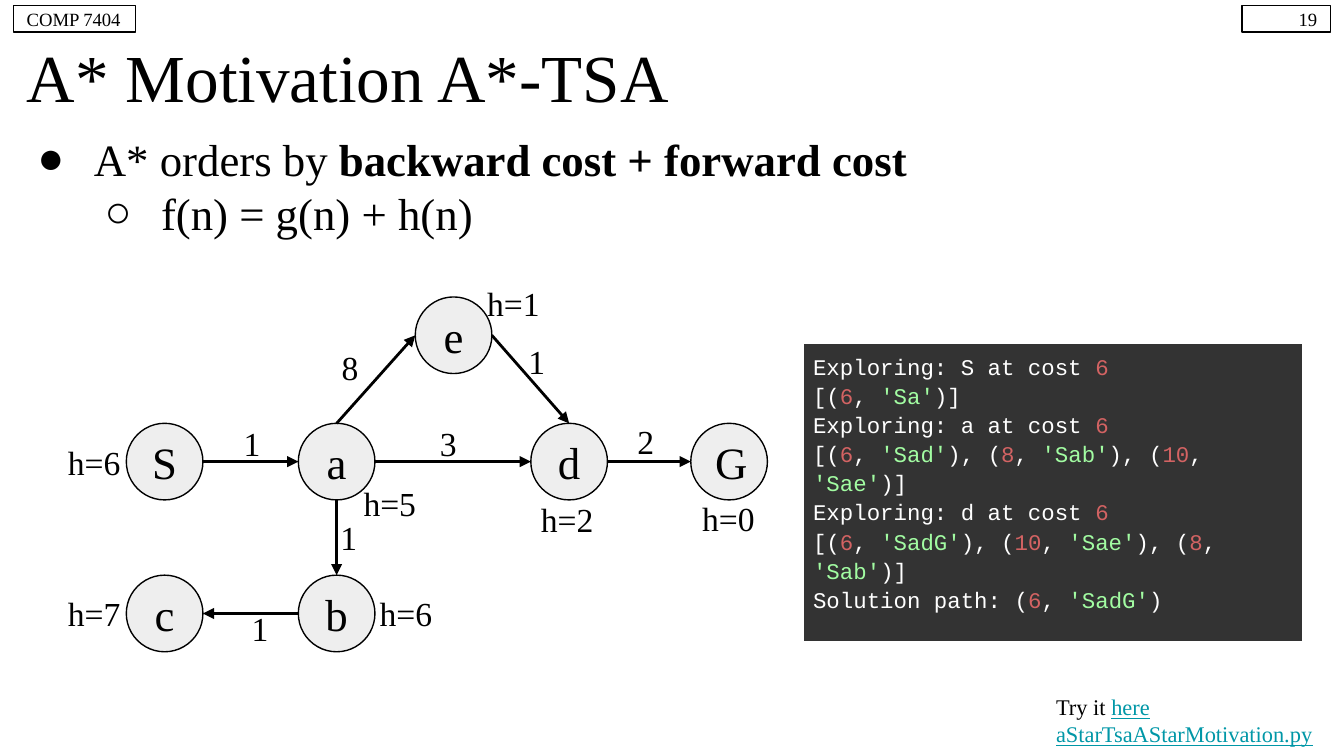
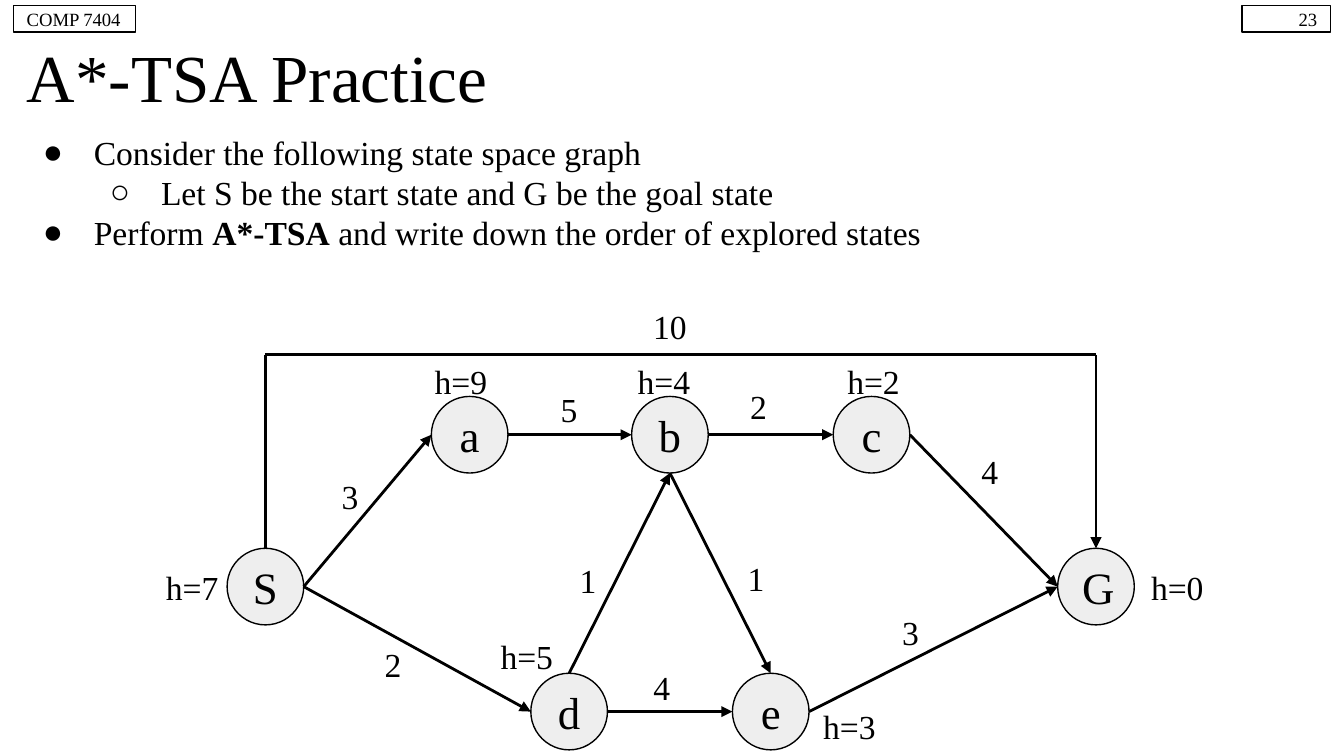
from copy import deepcopy
from itertools import groupby

from pptx import Presentation
from pptx.dml.color import RGBColor
from pptx.enum.shapes import MSO_CONNECTOR, MSO_SHAPE
from pptx.enum.text import MSO_ANCHOR, PP_ALIGN
from pptx.oxml.ns import qn
from pptx.util import Inches, Pt
from lxml.etree import SubElement

COLORS = {
    "ink": "000000", "paper": "FFFFFF", "node": "EEEEEE", "link": "0097A7",
    "code_bg": "333333", "number": "D36363", "string": "A2FCA2",
}
SERIF, MONO = "Times New Roman", "Courier New"
NODE = 0.57
SIDES = {"top": (0.5, 0), "left": (0, 0.5), "bottom": (0.5, 1), "right": (1, 0.5)}


def rgb(name):
    return RGBColor.from_string(COLORS[name])


def inches(*values):
    return [Inches(v) for v in values]


def add_run(p, text, size, color="ink", font=SERIF, bold=False, underline=False):
    r = p.add_run()
    r.text = text
    f = r.font
    f.size, f.name, f.bold, f.underline = Pt(size), font, bold, underline
    f.color.rgb = rgb(color)


def setup_frame(sp, anchor=MSO_ANCHOR.MIDDLE):
    tf = sp.text_frame
    tf.word_wrap = True
    tf.vertical_anchor = anchor
    tf.margin_left = tf.margin_right = tf.margin_top = tf.margin_bottom = Inches(0.1)
    return tf


def add_label(slide, box, text, size=18):
    tf = setup_frame(slide.shapes.add_textbox(*inches(*box)))
    p = tf.paragraphs[0]
    p.alignment = PP_ALIGN.CENTER
    add_run(p, text, size)


def add_outlined(slide, kind, box, text, size, align, fill=None):
    sp = slide.shapes.add_shape(kind, *inches(*box))
    sp.shadow.inherit = False
    if fill:
        sp.fill.solid()
        sp.fill.fore_color.rgb = rgb(fill)
    else:
        sp.fill.background()
    sp.line.color.rgb = rgb("ink")
    sp.line.width = Pt(0.75)
    p = setup_frame(sp).paragraphs[0]
    p.alignment = align
    add_run(p, text, size)


def add_line(slide, start, end, arrow=True):
    cx = slide.shapes.add_connector(MSO_CONNECTOR.STRAIGHT, *inches(*start, *end))
    cx.line.color.rgb = rgb("ink")
    cx.line.width = Pt(1.5)
    if arrow:
        SubElement(cx.line._get_or_add_ln(), qn("a:tailEnd"), type="triangle")
    SubElement(cx._element.spPr, qn("a:effectLst"))


def add_titled_slide(prs, title, number):
    slide = prs.slides.add_slide(prs.slide_layouts[5])
    sp = slide.shapes.title
    sp.left, sp.top, sp.width, sp.height = inches(0.1, 0.28, 9.8, 0.57)
    p = setup_frame(sp).paragraphs[0]
    p.alignment = PP_ALIGN.LEFT
    add_run(p, title, 36)
    add_outlined(slide, MSO_SHAPE.RECTANGLE, (9.24, 0.04, 0.66, 0.2),
                 str(number), 10, PP_ALIGN.RIGHT)
    add_outlined(slide, MSO_SHAPE.RECTANGLE, (0.1, 0.04, 0.91, 0.2),
                 "COMP 7404", 10, PP_ALIGN.LEFT)
    return slide


def add_bullets(slide, items, size, hanging):
    """Items are (level, runs); every second run is bold."""
    sp = slide.shapes.add_textbox(*inches(0.1, 0.88, 9.8, 4.61))
    tf = setup_frame(sp, MSO_ANCHOR.TOP)
    for i, (level, runs) in enumerate(items):
        p = tf.paragraphs[0] if i == 0 else tf.add_paragraph()
        p.level = level
        pPr = p._p.get_or_add_pPr()
        pPr.set("marL", str(Inches(0.5 * (level + 1))))
        pPr.set("indent", str(-Inches(hanging)))
        SubElement(SubElement(pPr, qn("a:buClr")), qn("a:srgbClr"), val=COLORS["ink"])
        SubElement(pPr, qn("a:buFont"), typeface=SERIF)
        SubElement(pPr, qn("a:buChar"), char="●○"[level])
        for j, text in enumerate(runs):
            add_run(p, text, size, bold=j % 2 == 1)


def add_graph(slide, box, nodes, edges, h_size):
    """Nodes: name -> (x, y, h, label dx, label dy).
    Edges: (from, side, to, side, weight, weight x, weight y).
    Returns the function that locates the middle of a node's side."""
    x0, y0 = box

    def port(name, side):
        x, y = nodes[name][:2]
        fx, fy = SIDES[side]
        return x0 + x + fx * NODE, y0 + y + fy * NODE

    for name, (x, y, h, dx, dy) in nodes.items():
        add_outlined(slide, MSO_SHAPE.OVAL, (x0 + x, y0 + y, NODE, NODE),
                     name, 24, PP_ALIGN.CENTER, "node")
        add_label(slide, (x0 + x + dx, y0 + y + dy, *h_size), f"h={h}")
    for tail, tail_side, head, head_side, weight, x, y in edges:
        add_line(slide, port(tail, tail_side), port(head, head_side))
        add_label(slide, (x0 + x, y0 + y, NODE, NODE), str(weight))
    return port


def code_tokens(line):
    """Yield (text, colour) with quoted strings and numbers picked out."""
    for i, part in enumerate(line.split("'")):
        if i % 2:
            yield f"'{part}'", "string"
        else:
            for digits, chars in groupby(part, str.isdigit):
                yield "".join(chars), "number" if digits else "paper"


def add_code_table(slide, box, lines):
    frame = slide.shapes.add_table(1, 1, *inches(*box))
    table = frame.table
    table.first_row = table.horz_banding = False
    table.rows[0].height = 0  # the row grows to fit its text
    frame.height = Inches(box[3])
    cell = table.cell(0, 0)
    cell.margin_left = cell.margin_right = Inches(0.07)
    cell.margin_top = cell.margin_bottom = Inches(0.07)
    tcPr = cell._tc.get_or_add_tcPr()
    for side in ("lnL", "lnR", "lnT", "lnB"):
        ln = SubElement(tcPr, qn(f"a:{side}"), w=str(Pt(0.75)))
        clr = SubElement(SubElement(ln, qn("a:solidFill")), qn("a:srgbClr"),
                         val=COLORS["ink"])
        SubElement(clr, qn("a:alpha"), val="0")
    cell.fill.solid()
    cell.fill.fore_color.rgb = rgb("code_bg")
    p = cell.text_frame.paragraphs[0]
    p.line_spacing = 1.15
    for i, line in enumerate(lines):
        if i:
            p.add_line_break()
            p._p[-1].append(deepcopy(p.runs[-1]._r.rPr))
        for text, color in code_tokens(line):
            add_run(p, text, 12, color, MONO)
    SubElement(p._p, qn("a:endParaRPr"), sz="1200")


def add_try_it(slide, box):
    tf = setup_frame(slide.shapes.add_textbox(*inches(*box)))
    p = tf.paragraphs[0]
    add_run(p, "Try it ", 12)
    add_run(p, "here", 12, "link", underline=True)
    add_run(tf.add_paragraph(), "aStarTsaAStarMotivation.py", 12, "link", underline=True)


def build_motivation(prs):
    slide = add_titled_slide(prs, "A* Motivation A*-TSA", 19)
    add_bullets(slide, [
        (0, ["A* orders by ", "backward cost + forward cost"]),
        (1, ["f(n) = g(n) + h(n)"]),
    ], 24, 0.42)
    nodes = {
        "S": (0, 0.94, 6, -0.65, 0),
        "a": (1.28, 0.94, 5, 0.27, 0.31),
        "b": (1.28, 2.07, 6, 0.39, 0),
        "c": (0, 2.07, 7, -0.65, 0),
        "e": (2.15, 0, 1, 0.32, -0.24),
        "d": (3.01, 0.94, 2, -0.14, 0.43),
        "G": (4.2, 0.94, 0, -0.13, 0.42),
    }
    edges = [
        ("S", "right", "a", "left", 1, 0.65, 0.8),
        ("a", "bottom", "b", "top", 1, 1.37, 1.5),
        ("b", "left", "c", "right", 1, 0.71, 2.18),
        ("a", "right", "d", "left", 3, 2.11, 0.8),
        ("a", "top", "e", "left", 8, 1.38, 0.24),
        ("e", "right", "d", "top", 1, 2.77, 0.19),
        ("d", "right", "G", "left", 2, 3.58, 0.79),
    ]
    add_graph(slide, (0.94, 2.21), nodes, edges, (0.82, 0.57))
    add_try_it(slide, (7.76, 5.1, 2.24, 0.52))
    add_code_table(slide, (5.98, 2.56, 3.71, 1.73), [
        "Exploring: S at cost 6",
        "[(6, 'Sa')]",
        "Exploring: a at cost 6",
        "[(6, 'Sad'), (8, 'Sab'), (10, 'Sae')]",
        "Exploring: d at cost 6",
        "[(6, 'SadG'), (10, 'Sae'), (8, 'Sab')]",
        "Solution path: (6, 'SadG')",
    ])


def build_practice(prs):
    slide = add_titled_slide(prs, "A*-TSA Practice", 23)
    add_bullets(slide, [
        (0, ["Consider the following state space graph"]),
        (1, ["Let S be the start state and G be the goal state"]),
        (0, ["Perform ", "A*-TSA", " and write down the order of explored states"]),
    ], 18, 0.38)
    nodes = {
        "S": (0, 1.44, 7, -0.56, 0.11),
        "a": (1.52, 0.31, 9, -0.08, -0.29),
        "d": (2.26, 2.37, 5, -0.33, -0.3),
        "G": (6.18, 1.44, 0, 0.59, 0.11),
        "b": (3.01, 0.31, 4, -0.06, -0.29),
        "c": (4.51, 0.31, 2, 0, -0.29),
        "e": (3.76, 2.37, 3, 0.57, 0.22),
    }
    edges = [
        ("S", "right", "d", "left", 2, 0.95, 2.02),
        ("S", "right", "a", "left", 3, 0.63, 0.77),
        ("a", "right", "b", "left", 5, 2.26, 0.12),
        ("b", "right", "c", "left", 2, 3.67, 0.1),
        ("c", "right", "G", "left", 4, 5.39, 0.58),
        ("d", "right", "e", "left", 4, 2.95, 2.19),
        ("d", "top", "b", "bottom", 1, 2.4, 1.39),
        ("b", "bottom", "e", "top", 1, 3.65, 1.38),
        ("e", "right", "G", "left", 3, 4.8, 1.78),
    ]
    left, top = 1.69, 2.64
    port = add_graph(slide, (left, top), nodes, edges, (0.6, 0.35))
    start, goal = port("S", "top"), port("G", "top")
    corners = (start[0], top), (goal[0], top)
    add_line(slide, start, corners[0], arrow=False)
    add_line(slide, *corners, arrow=False)
    add_line(slide, corners[1], goal)
    add_label(slide, (left + 3.01, top - 0.5, NODE, NODE), "10")


def main():
    prs = Presentation()
    prs.slide_width = Inches(10)
    prs.slide_height = prs.slide_width * 9 // 16
    build_motivation(prs)
    build_practice(prs)
    prs.save("out.pptx")


if __name__ == "__main__":
    main()
